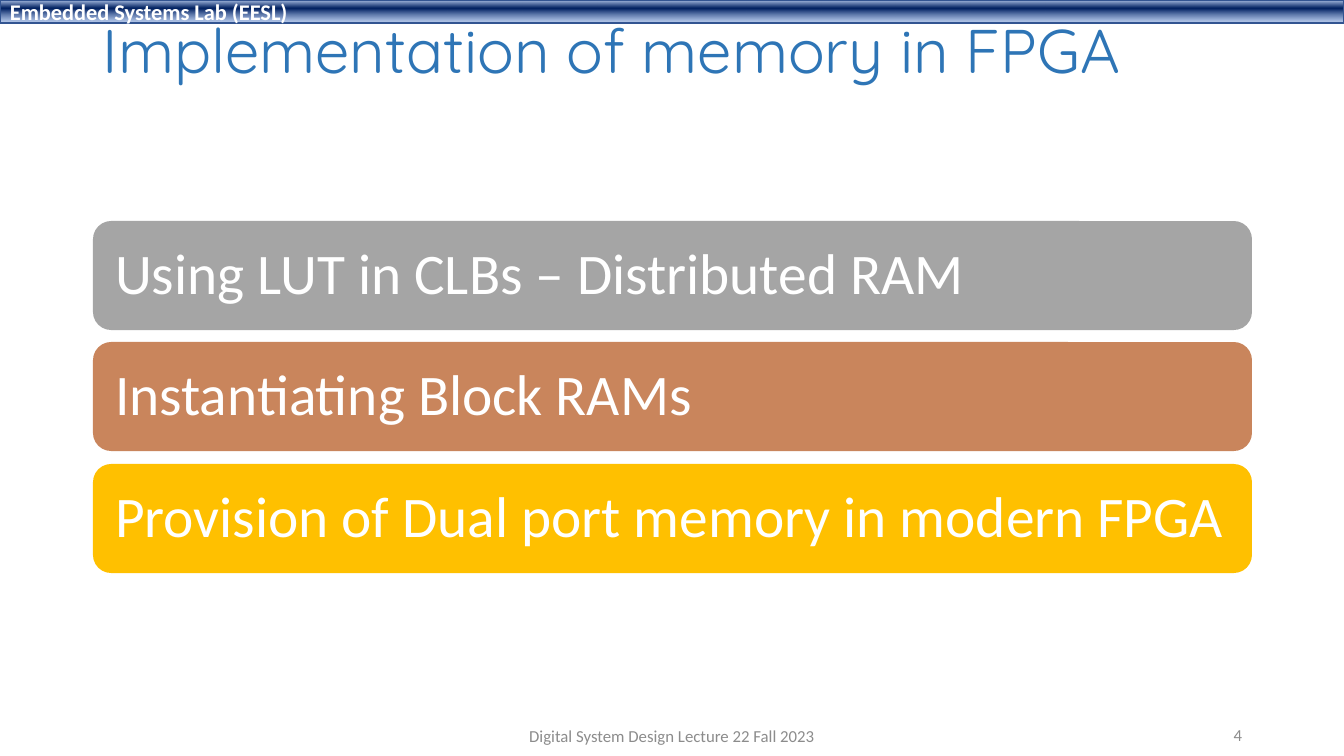
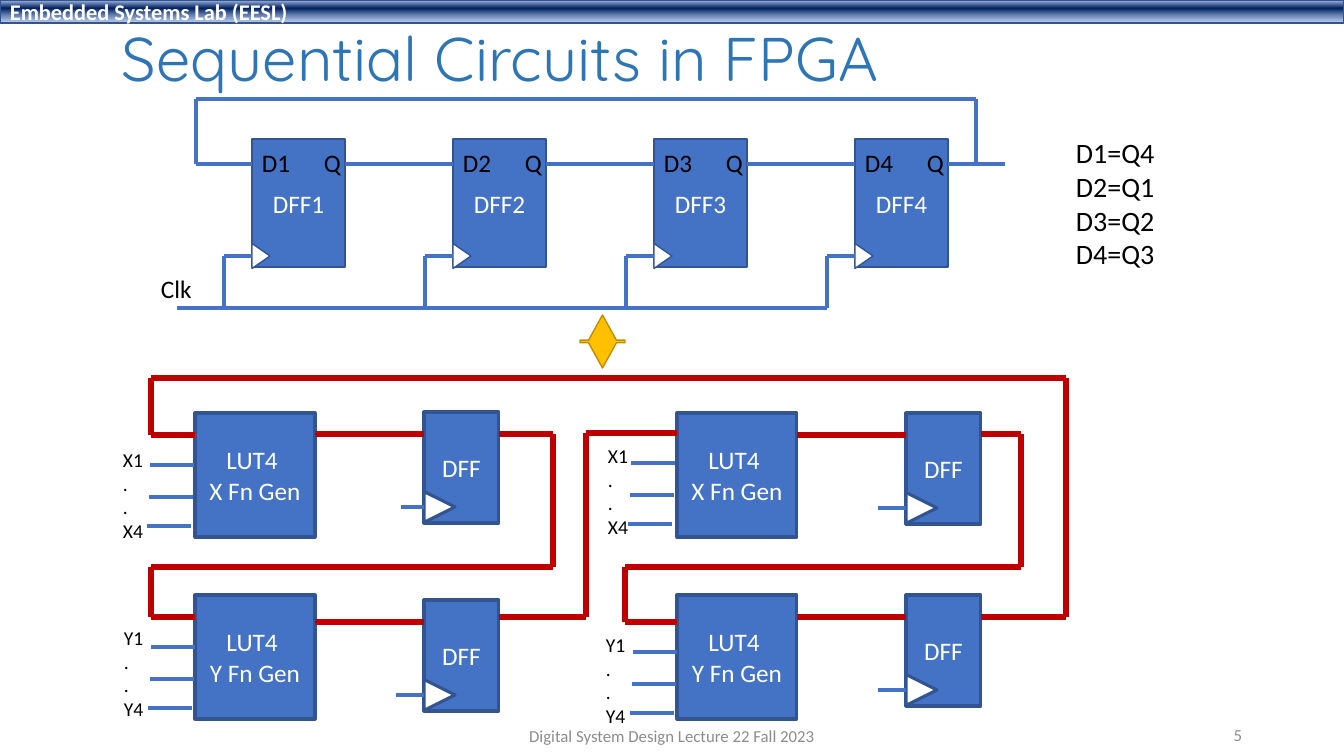
"""Build two lecture slides on memory and sequential circuits in FPGA."""
from itertools import pairwise
from typing import NamedTuple

from lxml.etree import SubElement
from pptx import Presentation
from pptx.dml.color import RGBColor
from pptx.enum.shapes import MSO_CONNECTOR as Connector, MSO_SHAPE as Preset
from pptx.enum.text import MSO_ANCHOR as Anchor, PP_ALIGN as Align
from pptx.oxml.ns import qn
from pptx.util import Emu, Pt

EMU_PER_INCH = 914400
PX_PER_INCH = 100.8
SLIDE_SIZE = (1344, 756)

COLOURS = {
    "white": "FFFFFF", "black": "000000", "title": "2E75B6", "footer": "8C8C8C",
    "block": "4472C4", "outline": "325491", "route": "C00000",
    "grey": "A5A5A5", "copper": "C9855C", "gold": "FFC000", "gold_edge": "BD8E00",
}
BAND_STOPS = [(2, "ABC0E4", 100), (38, "002060", 100), (93, "7E9ED6", 64)]

STYLES = {
    "band": {"colour": "white", "font": {"size": Pt(16), "bold": True},
             "frame": {"vertical_anchor": Anchor.MIDDLE, "margin_top": 0, "margin_bottom": 0},
             "paragraph": {"alignment": Align.LEFT}},
    "title": {"colour": "title", "font": {"size": Pt(44), "name": "Quicksand"},
              "frame": {"vertical_anchor": Anchor.MIDDLE},
              "paragraph": {"line_spacing": 0.9}},
    "footer": {"colour": "footer", "font": {"size": Pt(12)},
               "frame": {"vertical_anchor": Anchor.MIDDLE},
               "paragraph": {"alignment": Align.CENTER}},
    "number": {"colour": "footer", "font": {"size": Pt(12)},
               "frame": {"vertical_anchor": Anchor.MIDDLE},
               "paragraph": {"alignment": Align.RIGHT}},
    "option": {"colour": "white", "font": {"size": Pt(41)},
               "frame": {"vertical_anchor": Anchor.MIDDLE,
                         "margin_left": Pt(12), "margin_right": Pt(6)},
               "paragraph": {"alignment": Align.LEFT, "line_spacing": 0.9}},
    "block": {"colour": "white", "font": {"size": Pt(18)},
              "frame": {"vertical_anchor": Anchor.MIDDLE},
              "paragraph": {"alignment": Align.CENTER}},
    "pin": {"colour": "black", "font": {"size": Pt(18)}},
    "equation": {"colour": "black", "font": {"size": Pt(20)}},
    "input": {"colour": "black", "font": {"size": Pt(14)}},
}

OPTIONS = [
    ("Using LUT in CLBs – Distributed RAM", "grey"),
    ("Instantiating Block RAMs", "copper"),
    ("Provision of Dual port memory in modern FPGA", "gold"),
]


class LogicCell(NamedTuple):
    """Places of one LUT and flip-flop pair."""
    letter: str
    left: int
    top: int
    flop_top: int
    link_y: int
    clock_left: int
    inputs: tuple
    labels: tuple


CELLS = [
    LogicCell("X", 195, 413, 412, 434, 401, (150, 465), (113, 443)),
    LogicCell("Y", 195, 595, 600, 622, 396, (151, 647), (114, 621)),
    LogicCell("X", 677, 413, 413, 435, 878, (631, 463), (598, 439)),
    LogicCell("Y", 677, 595, 595, 617, 878, (633, 652), (596, 628)),
]
ROUTES = [
    [(499, 434), (553, 434), (553, 567), (151, 567), (151, 617), (195, 617)],
    [(499, 617), (586, 617), (586, 433), (677, 433)],
    [(981, 434), (1021, 434), (1021, 567), (625, 567), (625, 622), (677, 622)],
    [(981, 617), (1066, 617), (1066, 378), (151, 378), (151, 435), (195, 435)],
]


def px(length):
    """Turn pixels into EMU."""
    return Emu(round(length * EMU_PER_INCH / PX_PER_INCH))


def colour(name):
    """Look up a named colour."""
    return RGBColor.from_string(COLOURS[name])


def apply(target, values):
    """Set each named attribute on the target."""
    for name, value in values.items():
        setattr(target, name, value)


def write(shape, lines, style_name):
    """Fill a shape with one styled paragraph per line."""
    style = STYLES[style_name]
    frame = shape.text_frame
    apply(frame, {"word_wrap": True, **style.get("frame", {})})
    for index, line in enumerate(lines):
        paragraph = frame.add_paragraph() if index else frame.paragraphs[0]
        apply(paragraph, style.get("paragraph", {}))
        run = paragraph.add_run()
        run.text = line
        apply(run.font, {"name": "Calibri", **style["font"]})
        run.font.color.rgb = colour(style["colour"])


def add_label(slide, box, lines, style_name):
    """Add a text box."""
    write(slide.shapes.add_textbox(*map(px, box)), lines, style_name)


def add_block(slide, preset, box, fill, edge=None, weight=1):
    """Add a flat preset shape."""
    shape = slide.shapes.add_shape(preset, *map(px, box))
    shape.shadow.inherit = False
    shape.fill.solid()
    shape.fill.fore_color.rgb = colour(fill)
    if edge:
        shape.line.color.rgb = colour(edge)
        shape.line.width = Pt(weight)
    else:
        shape.line.fill.background()
    return shape


def add_wire(slide, points, ink="block", weight=2.25):
    """Join successive points with straight connectors."""
    for start, end in pairwise(points):
        wire = slide.shapes.add_connector(Connector.STRAIGHT, *map(px, start + end))
        wire.line.color.rgb = colour(ink)
        wire.line.width = Pt(weight)
        SubElement(wire._element.spPr, qn("a:effectLst"))


def add_clock_notch(slide, left, middle, span, depth, weight):
    """Add the clock triangle pointing into a flip-flop."""
    box = (left + (depth - span) / 2, middle - depth / 2, span, depth)
    notch = add_block(slide, Preset.ISOSCELES_TRIANGLE, box, "white", "outline", weight)
    notch.rotation = 90


def add_band(slide):
    """Add the gradient band with the lab name."""
    band = add_block(slide, Preset.RECTANGLE, (0, 0, SLIDE_SIZE[0], 23), "block", "outline")
    band.fill.gradient()
    band.fill.gradient_angle = 270
    stops = band._element.spPr.find(qn("a:gradFill")).find(qn("a:gsLst"))
    stops.clear()
    for position, shade, opacity in BAND_STOPS:
        stop = SubElement(stops, qn("a:gs"), pos=str(position * 1000))
        tint = SubElement(stop, qn("a:srgbClr"), val=shade)
        if opacity < 100:
            SubElement(tint, qn("a:alpha"), val=str(opacity * 1000))
    write(band, ["Embedded Systems Lab (EESL)"], "band")


def add_slide(deck, title, title_box, number):
    """Start a slide with its band, title and footer."""
    slide = deck.slides.add_slide(deck.slide_layouts[6])
    add_band(slide)
    add_label(slide, title_box, [title], "title")
    add_label(slide, (445, 716, 454, 40), ["Digital System Design Lecture 22 Fall 2023"], "footer")
    add_label(slide, (950, 715, 302, 40), [str(number)], "number")
    return slide


def add_options(slide):
    """Stack the memory options as rounded bars."""
    for index, (option, fill) in enumerate(OPTIONS):
        box = (93, 221 + index * 243 // 2, 1159, 109)
        write(add_block(slide, Preset.ROUNDED_RECTANGLE, box, fill), [option], "option")


def add_register_stage(slide, index):
    """Add one flip-flop of the ring with its pins and wires."""
    left, data_y, clock_y = 252 + 201 * (index - 1), 164, 256
    flop = add_block(slide, Preset.RECTANGLE, (left, 139, 93, 128), "block", "outline")
    write(flop, [f"DFF{index}"], "block")
    add_wire(slide, [(left - 56, data_y), (left, data_y)])
    add_wire(slide, [(left + 93, data_y), (left + 150, data_y)])
    add_clock_notch(slide, left, clock_y, 25, 18, 1)
    add_wire(slide, [(left, clock_y), (left - 28, clock_y), (left - 28, 308)])
    add_label(slide, (left, 142, 60, 40), [f"D{index}"], "pin")
    add_label(slide, (left + 62, 142, 45, 40), ["Q"], "pin")


def add_ring(slide):
    """Draw the four-stage ring register and its equations."""
    for index in range(1, 5):
        add_register_stage(slide, index)
    add_wire(slide, [(827, 308), (177, 308)])
    add_wire(slide, [(976, 164), (976, 99), (196, 99), (196, 164)])
    add_label(slide, (151, 268, 60, 40), ["Clk"], "pin")
    equations = [f"D{index}=Q{(index - 2) % 4 + 1}" for index in range(1, 5)]
    add_label(slide, (1066, 131, 110, 146), equations, "equation")


def add_logic_cell(slide, cell):
    """Draw one LUT feeding a clocked flip-flop."""
    lut = add_block(slide, Preset.RECTANGLE, (cell.left, cell.top, 120, 124),
                    "block", "outline", 2.25)
    write(lut, ["LUT4 ", f"{cell.letter} Fn Gen"], "block")
    flop_left, clock_y = cell.left + 229, cell.flop_top + 95
    flop = add_block(slide, Preset.RECTANGLE, (flop_left, cell.flop_top, 75, 111),
                     "block", "outline", 2.25)
    write(flop, ["DFF"], "block")
    add_clock_notch(slide, flop_left, clock_y, 31, 31, 2.25)
    add_wire(slide, [(cell.left + 120, cell.link_y), (flop_left, cell.link_y)], "route", 4.5)
    add_wire(slide, [(flop_left, clock_y), (cell.clock_left, clock_y)])
    input_x, input_y = cell.inputs
    for shift, drop in [(0, 0), (-1, 32), (-3, 61)]:
        start = (input_x + shift, input_y + drop)
        add_wire(slide, [start, (start[0] + 44, start[1])])
    names = [f"{cell.letter}1", ".", ".", f"{cell.letter}4"]
    add_label(slide, (*cell.labels, 50, 105), names, "input")


def add_mapping(slide):
    """Draw the ring register mapped onto logic cells."""
    for cell in CELLS:
        add_logic_cell(slide, cell)
    for route in ROUTES:
        add_wire(slide, route, "route", 4.5)
    link = add_block(slide, Preset.LEFT_RIGHT_ARROW_CALLOUT, (576, 319, 53, 45),
                     "gold", "gold_edge")
    link.rotation = 90
    for index, ratio in enumerate([0.62, 0.31, 0.56, 0.26]):
        link.adjustments[index] = ratio


def main():
    """Build and save the deck."""
    deck = Presentation()
    deck.slide_width, deck.slide_height = map(px, SLIDE_SIZE)
    add_options(add_slide(deck, "Implementation of memory in FPGA", (93, 15, 1159, 78), 4))
    circuits = add_slide(deck, "Sequential Circuits in FPGA", (112, 21, 1159, 82), 5)
    add_ring(circuits)
    add_mapping(circuits)
    deck.save("out.pptx")


if __name__ == "__main__":
    main()
